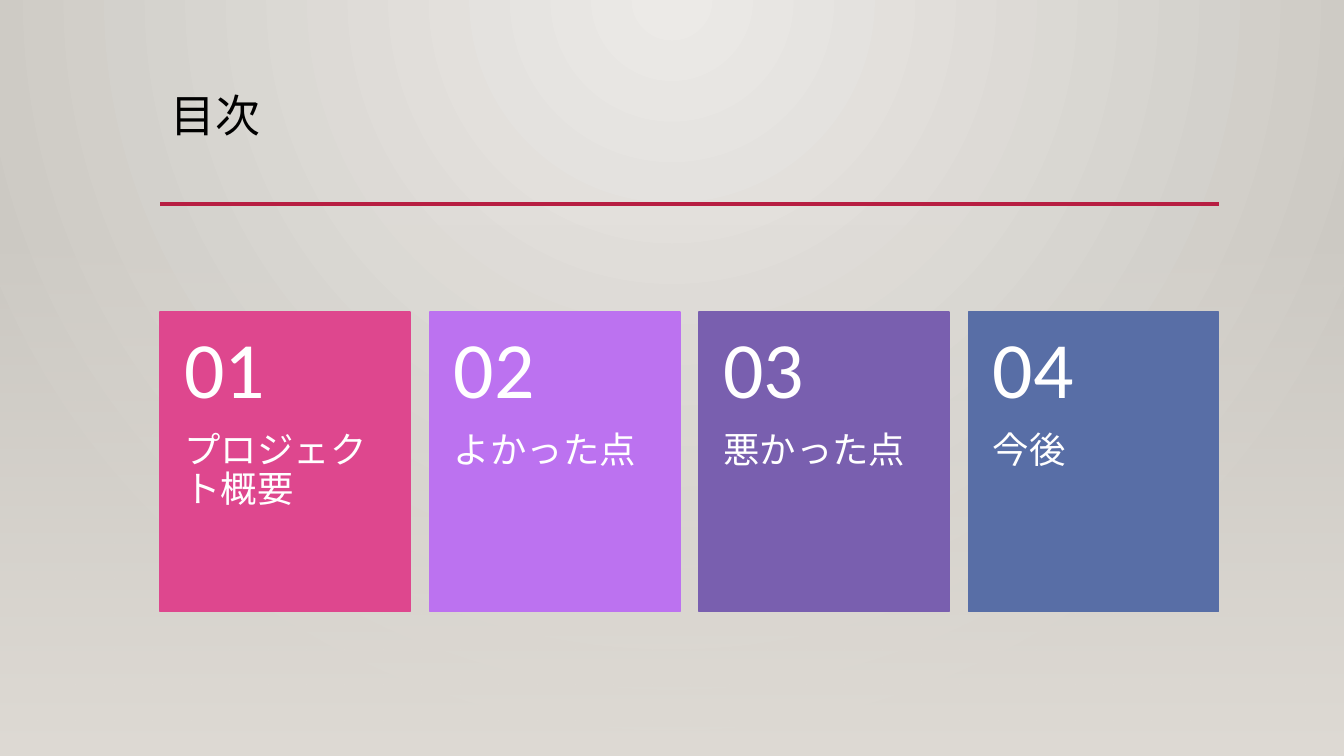
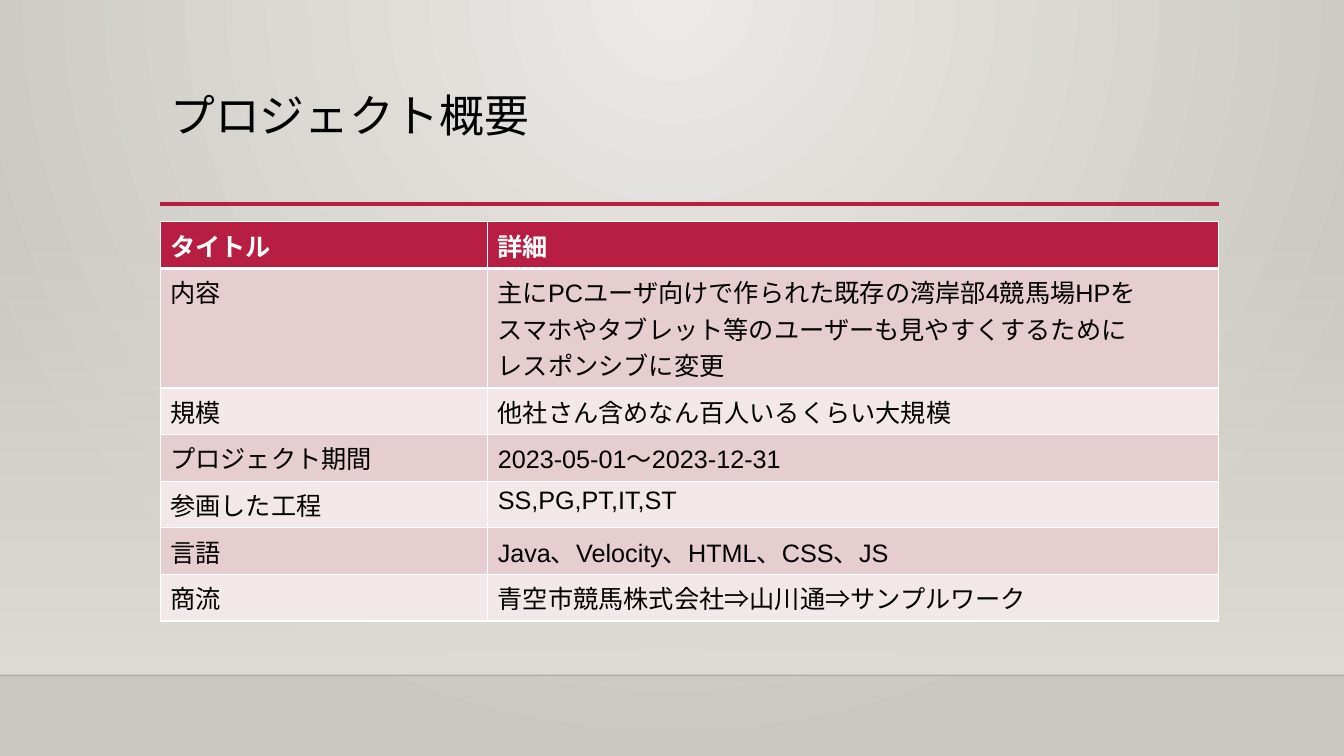
"""Build a contents slide and a project overview slide."""
from lxml.etree import SubElement
from pptx import Presentation
from pptx.dml.color import RGBColor
from pptx.enum.lang import MSO_LANGUAGE_ID as Language
from pptx.enum.shapes import MSO_CONNECTOR as Connector, MSO_SHAPE as Shape
from pptx.enum.text import MSO_ANCHOR as Anchor, MSO_AUTO_SIZE as AutoSize, PP_ALIGN as Align
from pptx.oxml.ns import qn
from pptx.util import Cm, Pt

BLACK = RGBColor(0x00, 0x00, 0x00)
WHITE = RGBColor(0xFF, 0xFF, 0xFF)
CRIMSON = RGBColor(0xB7, 0x1E, 0x42)
GLOW = RGBColor(0xEC, 0xEA, 0xE7)
STONE = RGBColor(0xCA, 0xC7, 0xC1)
SAND = RGBColor(0xDF, 0xDB, 0xD5)
ROW_COLORS = [RGBColor(0xF3, 0xE8, 0xE9), RGBColor(0xE6, 0xCD, 0xCF)]

CONTENTS_TITLE = "目次"
CARDS = [
    ("プロジェクト概要", RGBColor(0xDE, 0x47, 0x8E)),
    ("よかった点", RGBColor(0xBC, 0x72, 0xF0)),
    ("悪かった点", RGBColor(0x79, 0x5F, 0xAF)),
    ("今後", RGBColor(0x58, 0x6E, 0xA6)),
]
OVERVIEW_TITLE = "プロジェクト概要"
OVERVIEW_ROWS = [
    ("タイトル", "詳細"),
    ("内容", "主にPCユーザ向けで作られた既存の湾岸部4競馬場HPを\n"
             "スマホやタブレット等のユーザーも見やすくするために\n"
             "レスポンシブに変更"),
    ("規模", "他社さん含めなん百人いるくらい大規模"),
    ("プロジェクト期間", "2023-05-01～2023-12-31"),
    ("参画した工程", "SS,PG,PT,IT,ST"),
    ("言語", "Java、Velocity、HTML、CSS、JS"),
    ("商流", "青空市競馬株式会社⇒山川通⇒サンプルワーク"),
]

PAGE_WIDTH, PAGE_HEIGHT = Cm(33.87), Cm(19.05)
LEFT, CONTENT_WIDTH = Cm(4.04), Cm(26.67)
RULE_TOP, FADE_TOP, FLOOR_TOP = Cm(5.14), Cm(5.61), Cm(17.02)
CARD_TOP, CARD_WIDTH = Cm(7.87), Cm(6.3)
NUMBER_HEIGHT, LABEL_HEIGHT = Cm(3.02), Cm(4.52)
CARD_PITCH = (CONTENT_WIDTH - CARD_WIDTH) // (len(CARDS) - 1)
TABLE_TOP, ROW_HEIGHT, EXTRA_LINE = Cm(5.59), Cm(1.04), Cm(0.71)
COLUMN_WIDTHS = [Cm(8.25), Cm(18.42)]


def style_font(para, size, color, name="Calibri", bold=False):
    font = para.font
    font.size, font.name, font.bold = Pt(size), name, bold
    font.color.rgb = color
    font.language_id = Language.JAPANESE


def set_alpha(color_parent, percent):
    color = color_parent.find(".//" + qn("a:srgbClr"))
    SubElement(color, qn("a:alpha"), val=str(percent * 1000))


def set_gradient(fill, start, end):
    fill.gradient()
    for stop, color in zip(fill.gradient_stops, (start, end)):
        stop.color.rgb = color


def set_background(master):
    set_gradient(master.background.fill, GLOW, STONE)
    gradient = master.element.find(".//" + qn("a:gradFill"))
    gradient.remove(gradient.find(qn("a:lin")))
    shade = SubElement(gradient, qn("a:path"), path="circle")
    SubElement(shade, qn("a:fillToRect"), l="43000", t="0", r="43000", b="100000")


def add_fade(page, bottom):
    fade = page.shapes.add_shape(Shape.RECTANGLE, 0, FADE_TOP, PAGE_WIDTH, bottom - FADE_TOP)
    fade.shadow.inherit = False
    fade.line.fill.background()
    set_gradient(fade.fill, SAND, SAND)
    fade.fill.gradient_angle = 270
    set_alpha(fade.element.find(".//" + qn("a:gs")), 0)


def add_rule(page, left, top, width, color, weight):
    rule = page.shapes.add_connector(Connector.STRAIGHT, left, top, left + width, top)
    rule.line.color.rgb = color
    rule.line.width = Pt(weight)
    SubElement(rule.element.spPr, qn("a:effectLst"))
    return rule


def add_page(deck, title, fade_bottom):
    page = deck.slides.add_slide(deck.slide_layouts[5])
    add_fade(page, fade_bottom)
    add_rule(page, LEFT, RULE_TOP, CONTENT_WIDTH, CRIMSON, 2.5)
    box = page.shapes.title
    box.left, box.top, box.width, box.height = LEFT, Cm(2.24), CONTENT_WIDTH, Cm(2.92)
    frame = box.text_frame
    frame.text = title
    frame.auto_size, frame.vertical_anchor = AutoSize.NONE, Anchor.TOP
    para = frame.paragraphs[0]
    para.alignment, para.line_spacing = Align.LEFT, 0.9
    style_font(para, 32, BLACK)
    return page


def add_card_text(card, text, left, top, height, size, anchor, margins):
    frame = card.shapes.add_textbox(left, top, CARD_WIDTH, height).text_frame
    frame.word_wrap, frame.vertical_anchor = True, anchor
    frame.margin_left = frame.margin_right = Cm(0.61)
    frame.margin_top, frame.margin_bottom = margins
    frame.text = text
    para = frame.paragraphs[0]
    para.line_spacing = 0.9
    style_font(para, size, WHITE)


def add_cards(page):
    for index, (label, color) in enumerate(CARDS):
        left = LEFT + index * CARD_PITCH
        card = page.shapes.add_group_shape()
        panel = card.shapes.add_shape(
            Shape.RECTANGLE, left, CARD_TOP, CARD_WIDTH, NUMBER_HEIGHT + LABEL_HEIGHT)
        panel.shadow.inherit = False
        panel.fill.solid()
        panel.fill.fore_color.rgb = panel.line.color.rgb = color
        panel.line.width = Pt(1.25)
        add_card_text(card, label, left, CARD_TOP + NUMBER_HEIGHT, LABEL_HEIGHT,
                      26, Anchor.TOP, (0, Cm(0.91)))
        add_card_text(card, f"{index + 1:02}", left, CARD_TOP, NUMBER_HEIGHT,
                      57, Anchor.MIDDLE, (Cm(0.46), Cm(0.46)))


def set_borders(cell, bottom_weight):
    properties = cell.fill._xPr
    weights = {"lnL": 1, "lnR": 1, "lnT": 1, "lnB": bottom_weight}
    for position, (side, weight) in enumerate(weights.items()):
        line = SubElement(properties, qn(f"a:{side}"), w=str(Pt(weight)))
        SubElement(SubElement(line, qn("a:solidFill")), qn("a:srgbClr"), val=str(WHITE))
        properties.insert(position, line)


def add_overview_table(page):
    table = page.shapes.add_table(
        len(OVERVIEW_ROWS), len(COLUMN_WIDTHS), LEFT, TABLE_TOP,
        CONTENT_WIDTH, ROW_HEIGHT * len(OVERVIEW_ROWS)).table
    for column, width in zip(table.columns, COLUMN_WIDTHS):
        column.width = width
    for row_index, texts in enumerate(OVERVIEW_ROWS):
        header = row_index == 0
        extra_lines = max(text.count("\n") for text in texts)
        table.rows[row_index].height = ROW_HEIGHT + extra_lines * EXTRA_LINE
        for cell, text in zip(table.rows[row_index].cells, texts):
            cell.text = text
            cell.fill.solid()
            cell.fill.fore_color.rgb = CRIMSON if header else ROW_COLORS[row_index % 2]
            set_borders(cell, 3 if header else 1)
            for para in cell.text_frame.paragraphs:
                style_font(para, 18, WHITE if header else BLACK, "Arial", header)


def main():
    deck = Presentation()
    deck.slide_width, deck.slide_height = PAGE_WIDTH, PAGE_HEIGHT
    set_background(deck.slide_master)
    add_cards(add_page(deck, CONTENTS_TITLE, PAGE_HEIGHT))
    overview = add_page(deck, OVERVIEW_TITLE, FLOOR_TOP)
    floor = add_rule(overview, 0, FLOOR_TOP, PAGE_WIDTH, BLACK, 1)
    set_alpha(floor.element.spPr, 20)
    add_overview_table(overview)
    deck.save("out.pptx")


if __name__ == "__main__":
    main()
